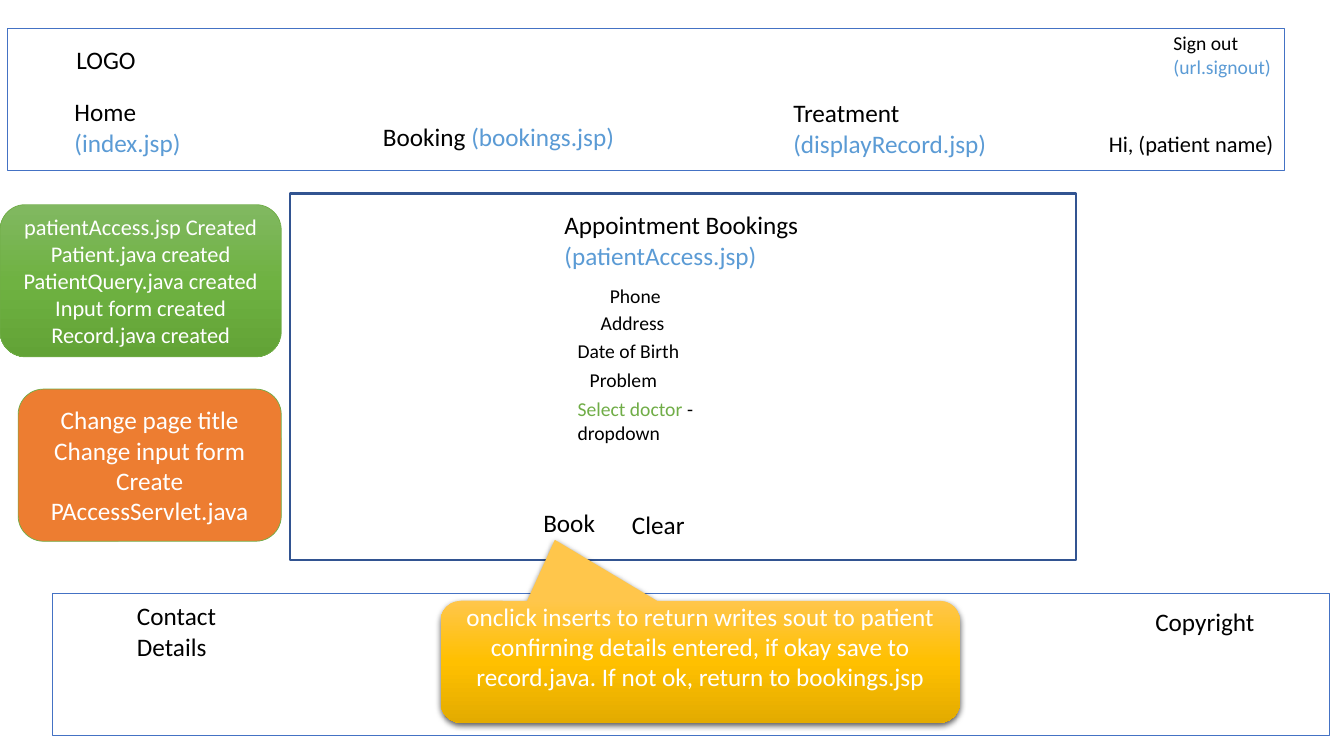
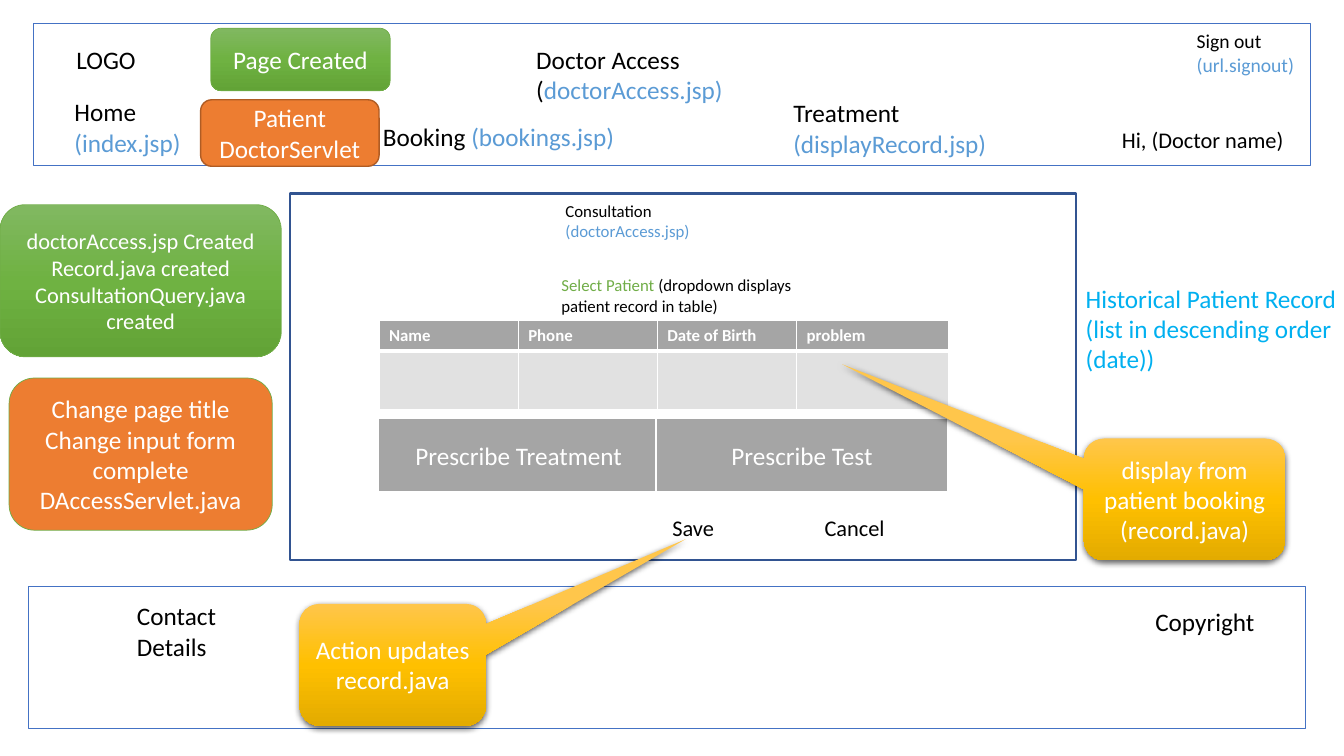
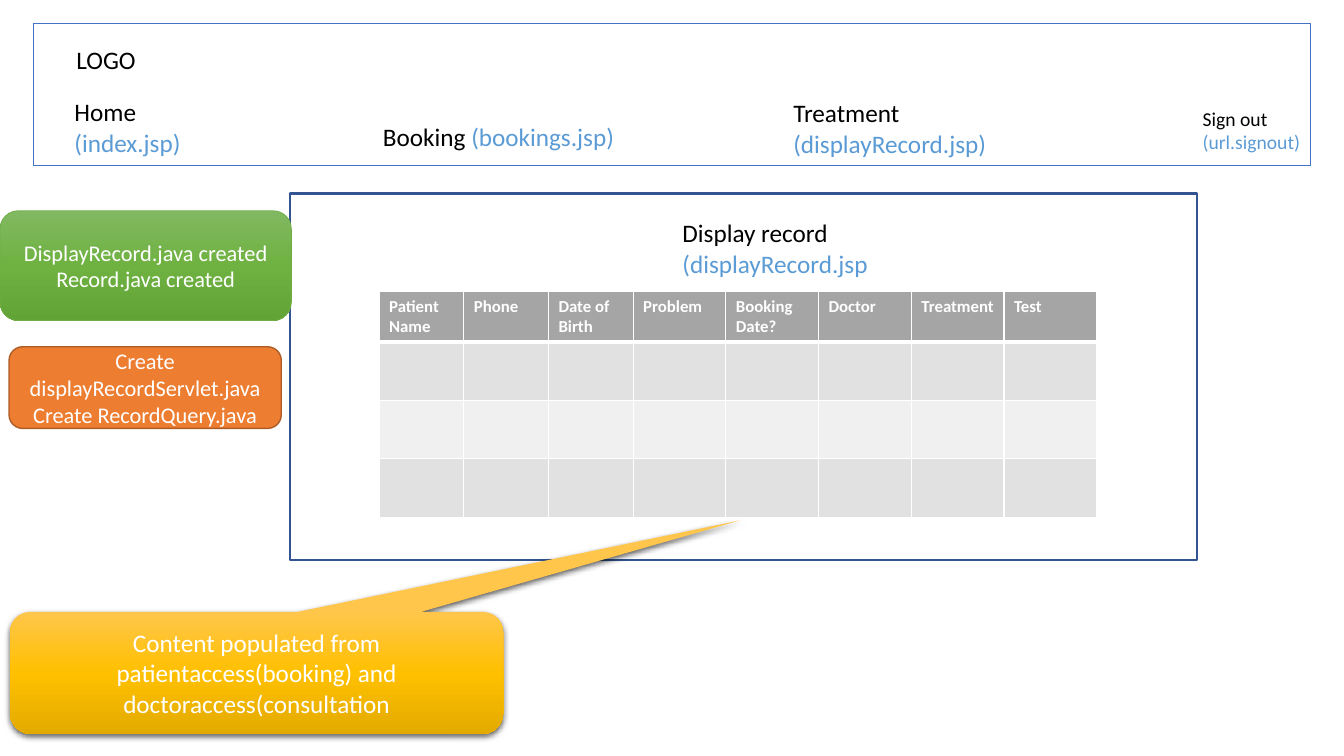
from dataclasses import dataclass
from typing import NamedTuple

from lxml import etree
from pptx import Presentation
from pptx.dml.color import RGBColor
from pptx.enum.shapes import MSO_SHAPE
from pptx.enum.text import MSO_ANCHOR, MSO_AUTO_SIZE, PP_ALIGN
from pptx.oxml.ns import qn
from pptx.util import Inches, Pt

RECT = MSO_SHAPE.RECTANGLE
ROUND = MSO_SHAPE.ROUNDED_RECTANGLE
CALLOUT = MSO_SHAPE.ROUNDED_RECTANGULAR_CALLOUT
MIDDLE = MSO_ANCHOR.MIDDLE
CENTER = PP_ALIGN.CENTER
GROW = MSO_AUTO_SIZE.SHAPE_TO_FIT_TEXT

FONT = "Calibri"
BLACK, WHITE = "000000", "FFFFFF"
LINK, PICK, NOTE = "5B9BD5", "70AD47", "00B0F0"
GRAY, BAND_DARK, BAND_LIGHT = "A5A5A5", "E1E1E1", "F0F0F0"


class Run(NamedTuple):
    text: str
    color: str = BLACK


@dataclass(frozen=True)
class Label:
    x: float
    y: float
    w: float
    h: float
    lines: tuple[tuple[Run, ...], ...]
    size: int = 18


@dataclass(frozen=True)
class Style:
    kind: int
    fill: tuple[str, ...] = ()
    line: str = ""
    width: float = 0
    shadow: bool = False


@dataclass(frozen=True)
class Box:
    style: Style
    x: float
    y: float
    w: float
    h: float
    lines: tuple[str, ...] = ()
    size: int = 18
    tip: tuple[float, float] | None = None
    bottom: float = 0.05


@dataclass(frozen=True)
class Grid:
    x: float
    y: float
    cols: tuple[float, ...]
    head: tuple[str, ...]
    head_h: float
    body: int


PANEL = Style(RECT, line="325491", width=1.5)
STRIP = Style(RECT, line="4472C4", width=0.75)
DONE = Style(ROUND, ("81B861", "6FB242", "62A336"), PICK, 0.5)
TODO = Style(ROUND, ("ED7D31",), PICK, 0.5)
TODO_DARK = Style(ROUND, ("ED7D31",), "AF5C24", 1)
BUTTON = Style(RECT, (GRAY,), WHITE, 1.5)
HINT = Style(CALLOUT, ("FFC64B", "FFC000", "E3AB00"), shadow=True)


def rgb(color: str) -> RGBColor:
    return RGBColor.from_string(color)


def plain(text: str, color: str = BLACK) -> tuple[tuple[Run, ...], ...]:
    return ((Run(text, color),),)


def page_link(text: str, target: str) -> tuple[tuple[Run, ...], ...]:
    return ((Run(f"{text} "), Run(target, LINK)),)


def page_title(text: str, target: str) -> tuple[tuple[Run, ...], ...]:
    return (Run(text),), (Run(target, LINK),)


def add_xml(parent, tag: str, **attrs):
    return etree.SubElement(parent, qn(tag), {k: str(v) for k, v in attrs.items()})


def write(tf, lines, size: int, align=None, bold: bool = False) -> None:
    for i, runs in enumerate(lines):
        p = tf.add_paragraph() if i else tf.paragraphs[0]
        p.alignment = align
        for text, color in runs:
            r = p.add_run()
            r.text = text
            for name, value in {"name": FONT, "size": Pt(size), "bold": bold}.items():
                setattr(r.font, name, value)
            r.font.color.rgb = rgb(color)


def add_label(s, label: Label) -> None:
    sp = s.shapes.add_textbox(*map(Inches, (label.x, label.y, label.w, label.h)))
    tf = sp.text_frame
    tf.word_wrap = True
    tf.auto_size = GROW
    write(tf, label.lines, label.size)


def paint(sp, style: Style) -> None:
    sp.shadow.inherit = False
    if not style.fill:
        sp.fill.background()
    elif len(style.fill) == 1:
        sp.fill.solid()
        sp.fill.fore_color.rgb = rgb(style.fill[0])
    else:
        sp.fill.gradient()
        sp.fill.gradient_angle = 270
        stops = sp._element.spPr.find(".//" + qn("a:gsLst"))
        for stop in list(stops):
            stops.remove(stop)
        for i, color in enumerate(style.fill):
            add_xml(add_xml(stops, "a:gs", pos=i * 50000), "a:srgbClr", val=color)
    if style.line:
        sp.line.color.rgb = rgb(style.line)
        sp.line.width = Pt(style.width)
    else:
        sp.line.fill.background()
    if style.shadow:
        effects = sp._element.spPr.find(qn("a:effectLst"))
        shadow = add_xml(effects, "a:outerShdw", blurRad=Pt(4.5), dist=Pt(1.5),
                         dir=5400000, algn="ctr", rotWithShape=0)
        add_xml(add_xml(shadow, "a:srgbClr", val=BLACK), "a:alpha", val=63000)


def add_box(s, box: Box) -> None:
    sp = s.shapes.add_shape(box.style.kind, *map(Inches, (box.x, box.y, box.w, box.h)))
    paint(sp, box.style)
    if box.tip:
        for i, value in enumerate(box.tip):
            sp.adjustments[i] = value
    tf = sp.text_frame
    settings = {"word_wrap": True, "vertical_anchor": MIDDLE, "margin_bottom": Inches(box.bottom)}
    for name, value in settings.items():
        setattr(tf, name, value)
    write(tf, [(Run(line, WHITE),) for line in box.lines], box.size, CENTER)


def style_cell(cell, color: str, bottom: float) -> None:
    cell.fill.solid()
    cell.fill.fore_color.rgb = rgb(color)
    tcPr = cell._tc.get_or_add_tcPr()
    for i, (side, width) in enumerate({"L": 1, "R": 1, "T": 1, "B": bottom}.items()):
        ln = add_xml(tcPr, f"a:ln{side}", w=Pt(width))
        add_xml(add_xml(ln, "a:solidFill"), "a:srgbClr", val=WHITE)
        tcPr.insert(i, ln)


def add_grid(s, grid: Grid) -> None:
    heights = [grid.head_h] + [0.58] * grid.body
    table = s.shapes.add_table(
        len(heights), len(grid.cols),
        *map(Inches, (grid.x, grid.y, sum(grid.cols), sum(heights)))).table
    for name in ("first_row", "horz_banding"):
        setattr(table, name, False)
    for col, width in zip(table.columns, grid.cols):
        col.width = Inches(width)
    for i, (row, height) in enumerate(zip(table.rows, heights)):
        row.height = Inches(height)
        color = GRAY if i == 0 else BAND_DARK if i % 2 else BAND_LIGHT
        for cell in row.cells:
            style_cell(cell, color, 1 if i else 3)
    for cell, text in zip(table.rows[0].cells, grid.head):
        write(cell.text_frame, plain(text, WHITE), 12, bold=True)


def add_header(s, x: float, y: float, sign_out: tuple[float, float]) -> None:
    add_box(s, Box(STRIP, x, y, 12.67, 1.41))
    for label in (
        Label(0.66, 0.39, 1.86, 0.4, plain("LOGO")),
        Label(0.64, 0.91, 1.9, 0.71, page_link("Home", "(index.jsp)")),
        Label(3.7, 1.15, 3.24, 0.4, page_link("Booking", "(bookings.jsp)")),
        Label(7.77, 0.92, 3.13, 0.71, page_link("Treatment", "(displayRecord.jsp)")),
        Label(*sign_out, 1.17, 0.57, page_title("Sign out", "(url.signout)"), 14),
    ):
        add_label(s, label)


def add_footer(s, x: float, y: float) -> None:
    add_box(s, Box(STRIP, x, y, 12.67, 1.41))
    add_label(s, Label(1.26, 5.91, 1.39, 0.71, plain("Contact Details")))
    add_label(s, Label(11.36, 5.97, 1.39, 0.4, plain("Copyright")))


def add_all(s, items) -> None:
    drawers = {Label: add_label, Box: add_box, Grid: add_grid}
    for item in items:
        drawers[type(item)](s, item)


def new_slide(prs, panel_w: float):
    s = prs.slides.add_slide(prs.slide_layouts[6])
    add_box(s, Box(PANEL, 2.88, 1.92, panel_w, 3.64))
    return s


def bookings_slide(prs) -> None:
    s = new_slide(prs, 7.79)
    add_header(s, 0.07, 0.28, (11.54, 0.26))
    add_footer(s, 0.52, 5.89)
    add_all(s, (
        Label(10.9, 1.24, 3.13, 0.37, plain("Hi, (patient name)"), 16),
        Label(5.5, 2.03, 2.94, 0.71, page_title("Appointment Bookings", "(patientAccess.jsp)")),
        Label(5.95, 2.77, 0.96, 0.34, plain("Phone"), 14),
        Label(5.86, 3.04, 1.72, 0.34, plain("Address"), 14),
        Label(5.63, 3.31, 1.72, 0.34, plain("Date of Birth"), 14),
        Label(5.75, 3.6, 1.72, 0.34, plain("Problem"), 14),
        Label(5.63, 3.89, 1.72, 0.57, ((Run("Select doctor ", PICK), Run("- dropdown")),), 14),
        Label(5.29, 4.98, 2.24, 0.4, plain("Book")),
        Label(6.17, 5, 1.1, 0.4, plain("Clear")),
        Box(DONE, 0, 2.03, 2.79, 1.51,
            ("patientAccess.jsp Created", "Patient.java created", "PatientQuery.java created",
             "Input form created", "Record.java created"), 16),
        Box(TODO, 0.18, 3.86, 2.61, 1.51,
            ("Change page title", "Change input form", "Create PAccessServlet.java")),
        Box(HINT, 4.37, 5.96, 5.15, 1.21,
            ("onclick inserts to return writes sout to patient confirning details entered, "
             "if okay save to record.java. If not ok, return to bookings.jsp",),
            tip=(-0.28, -1), bottom=0.35),
    ))


def consultation_slide(prs) -> None:
    s = new_slide(prs, 7.79)
    add_header(s, 0.33, 0.23, (11.77, 0.24))
    add_footer(s, 0.28, 5.82)
    add_all(s, (
        Label(11.03, 1.2, 3.13, 0.37, plain("Hi, (Doctor name)"), 16),
        Label(5.22, 0.39, 2.39, 0.71,
              ((Run("Doctor Access"),), (Run("("), Run("doctorAccess.jsp)", LINK)))),
        Label(5.51, 1.94, 3.02, 0.71, page_title("Consultation", "(doctorAccess.jsp)"), 12),
        Label(5.47, 2.68, 2.48, 0.5,
              ((Run("Select Patient ", PICK),
                Run("(dropdown displays patient record in table)")),), 12),
        Label(10.67, 2.76, 3.02, 1.01,
              plain("Historical Patient Record (list in descending order (date))", NOTE)),
        Label(6.57, 5.05, 2.08, 0.37, plain("Save"), 16),
        Label(8.08, 5.05, 2.08, 0.37, plain("Cancel"), 16),
        Box(DONE, 2.09, 0.28, 1.78, 0.62, ("Page Created",)),
        Box(TODO_DARK, 1.99, 0.99, 1.77, 0.66, ("Patient DoctorServlet",)),
        Box(TODO, 0.09, 3.75, 2.61, 1.51,
            ("Change page title", "Change input form", "complete DAccessServlet.java")),
        Box(DONE, 0, 2.03, 2.79, 1.51,
            ("doctorAccess.jsp Created", "Record.java created",
             "ConsultationQuery.java created"), 16),
        Grid(3.76, 3.18, (1.38,) * 3 + (1.51,),
             ("Name", "Phone", "Date of Birth", "problem"), 0.3, 1),
        Box(BUTTON, 3.75, 4.15, 2.79, 0.73, ("Prescribe Treatment",)),
        Box(BUTTON, 6.51, 4.15, 2.89, 0.73, ("Prescribe Test",)),
        Box(HINT, 10.75, 4.35, 2, 1.21, ("display from patient booking (record.java)",),
            tip=(-1.7, -1.11)),
        Box(HINT, 2.97, 5.99, 1.85, 1.21, ("Action updates record.java",), tip=(1.57, -1.03)),
    ))


def record_slide(prs) -> None:
    s = new_slide(prs, 8.99)
    add_header(s, 0.33, 0.23, (11.83, 1.01))
    add_all(s, (
        Label(6.67, 2.11, 2.38, 0.71, page_title("Display record", "(displayRecord.jsp")),
        Box(DONE, 0, 2.09, 2.89, 1.09, ("DisplayRecord.java created", "Record.java created"), 16),
        Box(TODO_DARK, 0.09, 3.44, 2.7, 0.81,
            ("Create displayRecordServlet.java", "Create RecordQuery.java"), 16),
        Grid(3.76, 2.89, (0.84,) * 3 + (0.92,) * 5,
             ("Patient Name", "Phone", "Date of Birth", "Problem", "Booking Date?",
              "Doctor", "Treatment", "Test"), 0.5, 3),
        Box(HINT, 0.1, 6.07, 4.89, 1.21,
            ("Content populated from patientaccess(booking) and doctoraccess(consultation",),
            tip=(0.98, -1.25)),
    ))


def main() -> None:
    prs = Presentation()
    prs.slide_width = Inches(13.33)
    prs.slide_height = Inches(7.5)
    for build in (bookings_slide, consultation_slide, record_slide):
        build(prs)
    prs.save("out.pptx")


if __name__ == "__main__":
    main()
